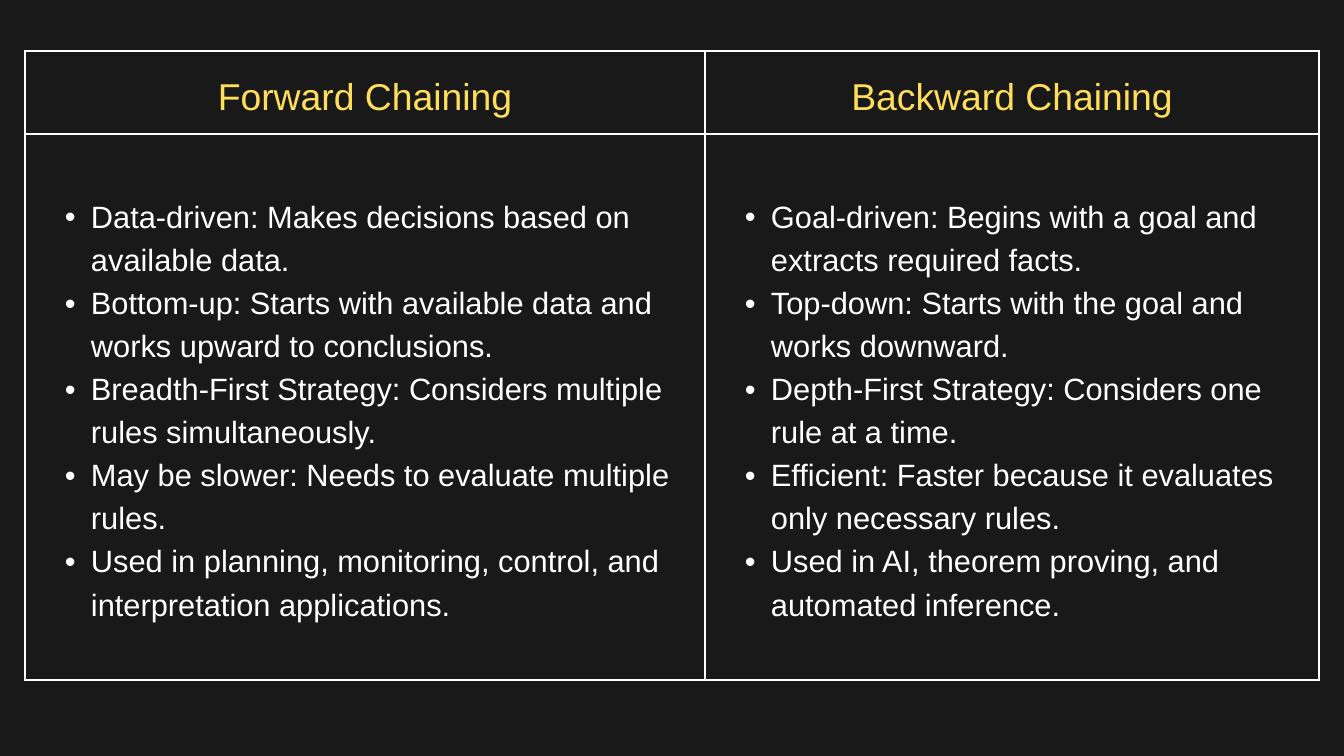
from lxml import etree
from pptx import Presentation
from pptx.dml.color import RGBColor
from pptx.enum.text import MSO_ANCHOR, PP_ALIGN
from pptx.oxml.ns import qn
from pptx.util import Pt

MIDDLE = MSO_ANCHOR.MIDDLE
LEFT, CENTER = PP_ALIGN.LEFT, PP_ALIGN.CENTER

BACKGROUND, WHITE, YELLOW = "191919", "FFFFFF", "FFDE59"
FONT = "Arial"

COMPARISON = {
    "Forward Chaining": [
        "Data-driven: Makes decisions based on available data.",
        "Bottom-up: Starts with available data and works upward to conclusions.",
        "Breadth-First Strategy: Considers multiple rules simultaneously.",
        "May be slower: Needs to evaluate multiple rules.",
        "Used in planning, monitoring, control, and interpretation applications.",
    ],
    "Backward Chaining": [
        "Goal-driven: Begins with a goal and extracts required facts.",
        "Top-down: Starts with the goal and works downward.",
        "Depth-First Strategy: Considers one rule at a time.",
        "Efficient: Faster because it evaluates only necessary rules.",
        "Used in AI, theorem proving, and automated inference.",
    ],
}

SLIDE_WIDTH, SLIDE_HEIGHT = 1344, 756
TABLE_LEFT, TABLE_TOP = 25, 51
COLUMN_WIDTHS = [680, 614]
ROW_HEIGHTS = [83, 546]
CELL_MARGIN = 14
BULLET_INDENT, BULLET_HANG = 52, 26
BORDER_POINTS = 3


def px(length):
    return round(length * 914400 / 67.2)


def color(value):
    return RGBColor.from_string(value)


def draw_borders(cell):
    properties = cell._tc.get_or_add_tcPr()
    for position, side in enumerate(("lnL", "lnR", "lnT", "lnB")):
        border = etree.Element(qn(f"a:{side}"), w=str(Pt(BORDER_POINTS)))
        fill = etree.SubElement(border, qn("a:solidFill"))
        etree.SubElement(fill, qn("a:srgbClr"), val=WHITE)
        properties.insert(position, border)


def add_bullet(paragraph):
    paragraph.level = 1
    properties = paragraph._p.get_or_add_pPr()
    properties.set("marL", str(px(BULLET_INDENT)))
    properties.set("indent", str(-px(BULLET_HANG)))
    etree.SubElement(properties, qn("a:buFont"), typeface=FONT)
    etree.SubElement(properties, qn("a:buChar"), char="•")


def fill_cell(cell, lines, size, text_color, alignment, bulleted):
    cell.fill.background()
    draw_borders(cell)
    cell.vertical_anchor = MIDDLE
    cell.margin_left = cell.margin_right = px(CELL_MARGIN)
    cell.margin_top = cell.margin_bottom = px(CELL_MARGIN)
    cell.text_frame.text = "\n".join(lines)
    for paragraph in cell.text_frame.paragraphs:
        paragraph.alignment = alignment
        paragraph.line_spacing = Pt(size * 1.4)
        if bulleted:
            add_bullet(paragraph)
        for run in paragraph.runs:
            run.font.name = FONT
            run.font.size = Pt(size)
            run.font.bold = False
            run.font.color.rgb = color(text_color)


def main():
    presentation = Presentation()
    presentation.slide_width = px(SLIDE_WIDTH)
    presentation.slide_height = px(SLIDE_HEIGHT)
    slide = presentation.slides.add_slide(presentation.slide_layouts[6])
    slide.background.fill.solid()
    slide.background.fill.fore_color.rgb = color(BACKGROUND)

    comparison = slide.shapes.add_table(
        len(ROW_HEIGHTS), len(COLUMN_WIDTHS), px(TABLE_LEFT), px(TABLE_TOP),
        px(sum(COLUMN_WIDTHS)), px(sum(ROW_HEIGHTS))).table
    comparison.horz_banding = False
    for row, height in zip(comparison.rows, ROW_HEIGHTS):
        row.height = px(height)
    for column, width in zip(comparison.columns, COLUMN_WIDTHS):
        column.width = px(width)

    for index, (heading, traits) in enumerate(COMPARISON.items()):
        fill_cell(comparison.cell(0, index), [heading], 40, YELLOW, CENTER, False)
        fill_cell(comparison.cell(1, index), traits, 33, WHITE, LEFT, True)

    presentation.save("out.pptx")


if __name__ == "__main__":
    main()
